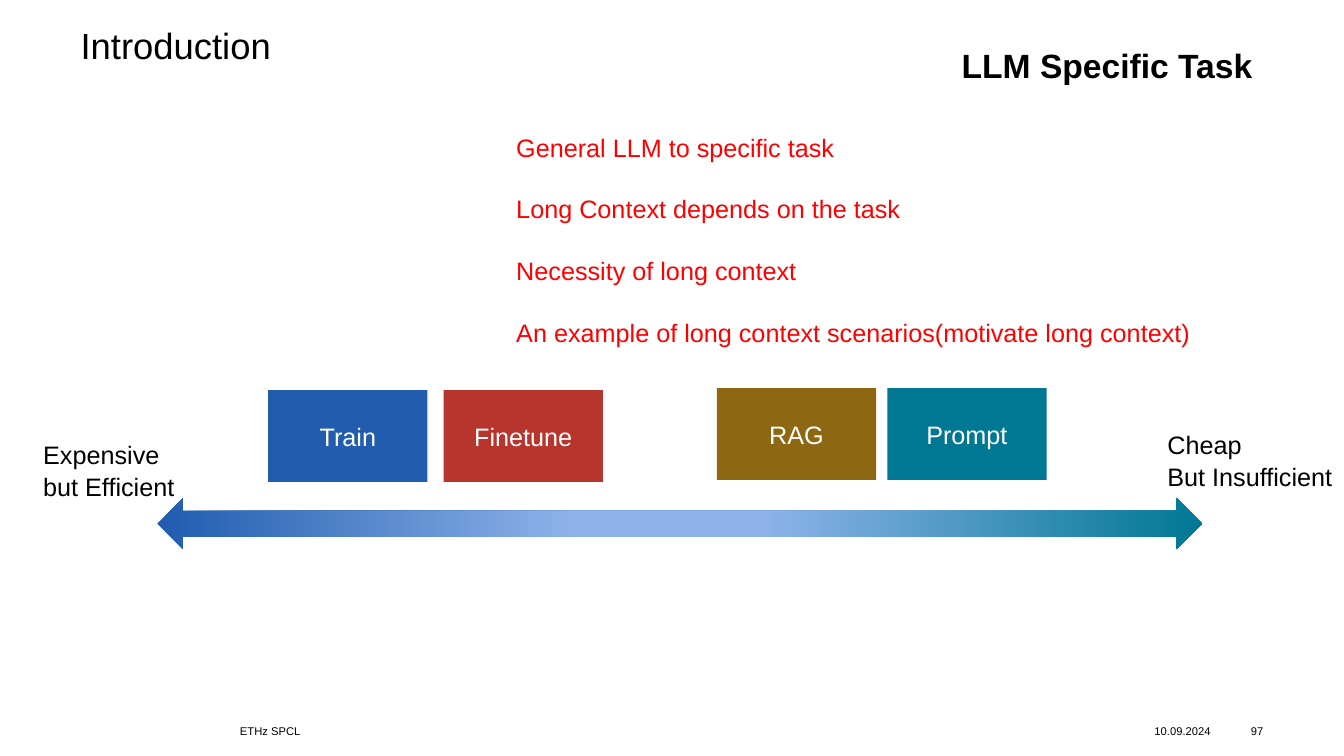
import copy

import pptx
import pptx.util
import pptx.dml.color
import pptx.enum.shapes
import pptx.enum.text

Inches, Pt = pptx.util.Inches, pptx.util.Pt
SHAPE = pptx.enum.shapes.MSO_SHAPE
ALIGN = pptx.enum.text.PP_ALIGN
ANCHOR = pptx.enum.text.MSO_ANCHOR
FIT = pptx.enum.text.MSO_AUTO_SIZE

# Content
TITLE = "Introduction"
TOPIC = "LLM Specific Task"
POINTS = [
    "General LLM to specific task",
    "Long Context depends on the task",
    "Necessity of long context",
    "An example of long context scenarios(motivate long context)",
]
CARDS = [  # text, left, top, colour
    ("Train", 2.66, 3.87, "215CAF"),
    ("Finetune", 4.4, 3.87, "B7352D"),
    ("RAG", 7.11, 3.85, "8E6713"),
    ("Prompt", 8.8, 3.85, "007894"),
]
ENDS = [  # lines, left, top, width
    (["Expensive", "but Efficient"], 0.33, 4.31, 3.62),
    (["Cheap", "But Insufficient"], 11.48, 4.21, 1.85),
]
STOPS = [(0, "215CAF"), (40, "8DB3E9"), (58, "8DB3E9"), (100, "007894")]
FOOTER = [  # text, left, width, alignment
    ("ETHz SPCL", 2.38, 7.87, ALIGN.LEFT),
    ("10.09.2024", 11.45, 0.67, ALIGN.LEFT),
    ("97", 12.18, 0.35, ALIGN.RIGHT),
]


def paint(color, code):
    color.rgb = pptx.dml.color.RGBColor.from_string(code)


def place(shape, left, top, width, height):
    shape.left, shape.top = Inches(left), Inches(top)
    shape.width, shape.height = Inches(width), Inches(height)


def write(shape, lines, size, code="000000", align=ALIGN.LEFT,
          anchor=ANCHOR.TOP, gap=0, bold=False, inset=None, wrap=True):
    frame = shape.text_frame
    frame.text = "\n".join(lines)
    frame.word_wrap = wrap
    frame.auto_size = FIT.NONE
    frame.vertical_anchor = anchor
    if inset is not None:
        frame.margin_left = frame.margin_right = Inches(inset)
        frame.margin_top = frame.margin_bottom = Inches(inset)
    for i, para in enumerate(frame.paragraphs):
        para.alignment = align
        para.line_spacing = 1.0
        para.space_before = Pt(gap if i else 0)
        for run in para.runs:
            run.font.name = "Arial"
            run.font.size = Pt(size)
            run.font.bold = bold
            paint(run.font.color, code)


def add_text(left, top, width, height, lines, size, **style):
    box = slide.shapes.add_textbox(
        Inches(left), Inches(top), Inches(width), Inches(height))
    write(box, lines, size, **style)


def add_shape(kind, left, top, width, height):
    shape = slide.shapes.add_shape(
        kind, Inches(left), Inches(top), Inches(width), Inches(height))
    shape.shadow.inherit = False
    shape.line.fill.background()
    return shape


deck = pptx.Presentation()
deck.slide_width, deck.slide_height = Inches(13.33), Inches(7.5)
slide = deck.slides.add_slide(deck.slide_layouts[1])

# Title and topic
title = slide.shapes.title
place(title, 0.8, 0.28, 11.73, 0.98)
write(title, [TITLE], 26, inset=0)
title.text_frame.paragraphs[0].line_spacing = 0.9
add_text(9.44, 0.4, 3.24, 0.5, [TOPIC], 24, bold=True, wrap=False)

# Red points without bullets
body = slide.placeholders[1]
place(body, 5.02, 1.26, 7.72, 2.22)
write(body, POINTS, 18, code="FF0000", gap=22.4)
for para in body.text_frame.paragraphs:
    props = para._p.get_or_add_pPr()
    props.set("marL", "0")
    props.set("indent", "0")
    props.append(pptx.oxml.parse_xml(
        '<a:buNone xmlns:a='
        '"http://schemas.openxmlformats.org/drawingml/2006/main"/>'))

# Method cards
for text, left, top, code in CARDS:
    card = add_shape(SHAPE.RECTANGLE, left, top, 1.58, 0.91)
    card.fill.solid()
    paint(card.fill.fore_color, code)
    write(card, [text], 18, code="FFFFFF", align=ALIGN.CENTER,
          anchor=ANCHOR.MIDDLE)

# Cost arrow with a four-stop gradient
arrow = add_shape(SHAPE.LEFT_RIGHT_ARROW, 1.56, 4.94, 10.36, 0.51)
arrow.fill.gradient()
arrow.fill.gradient_angle = 0
first = arrow.fill.gradient_stops[0]._gs
for _ in STOPS[2:]:
    first.addnext(copy.deepcopy(first))
for stop, (percent, code) in zip(arrow.fill.gradient_stops, STOPS):
    stop.position = percent / 100
    paint(stop.color, code)

# Labels at the arrow ends
for lines, left, top, width in ENDS:
    add_text(left, top, width, 0.71, lines, 18, gap=0.9, wrap=False)

# Footer
for text, left, width, align in FOOTER:
    add_text(left, 7.13, width, 0.24, [text], 8, align=align,
             anchor=ANCHOR.MIDDLE, inset=0)

deck.save("out.pptx")
